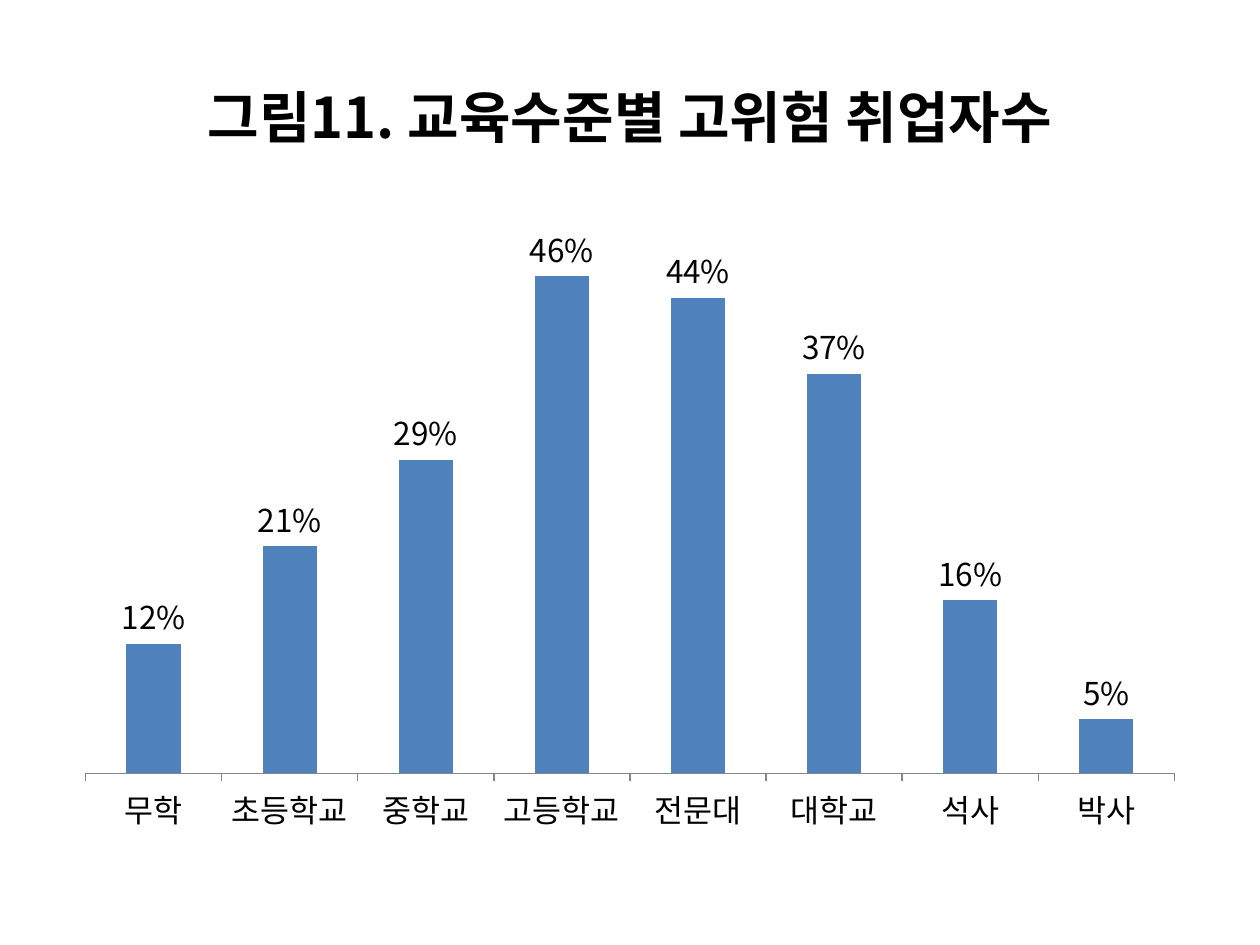
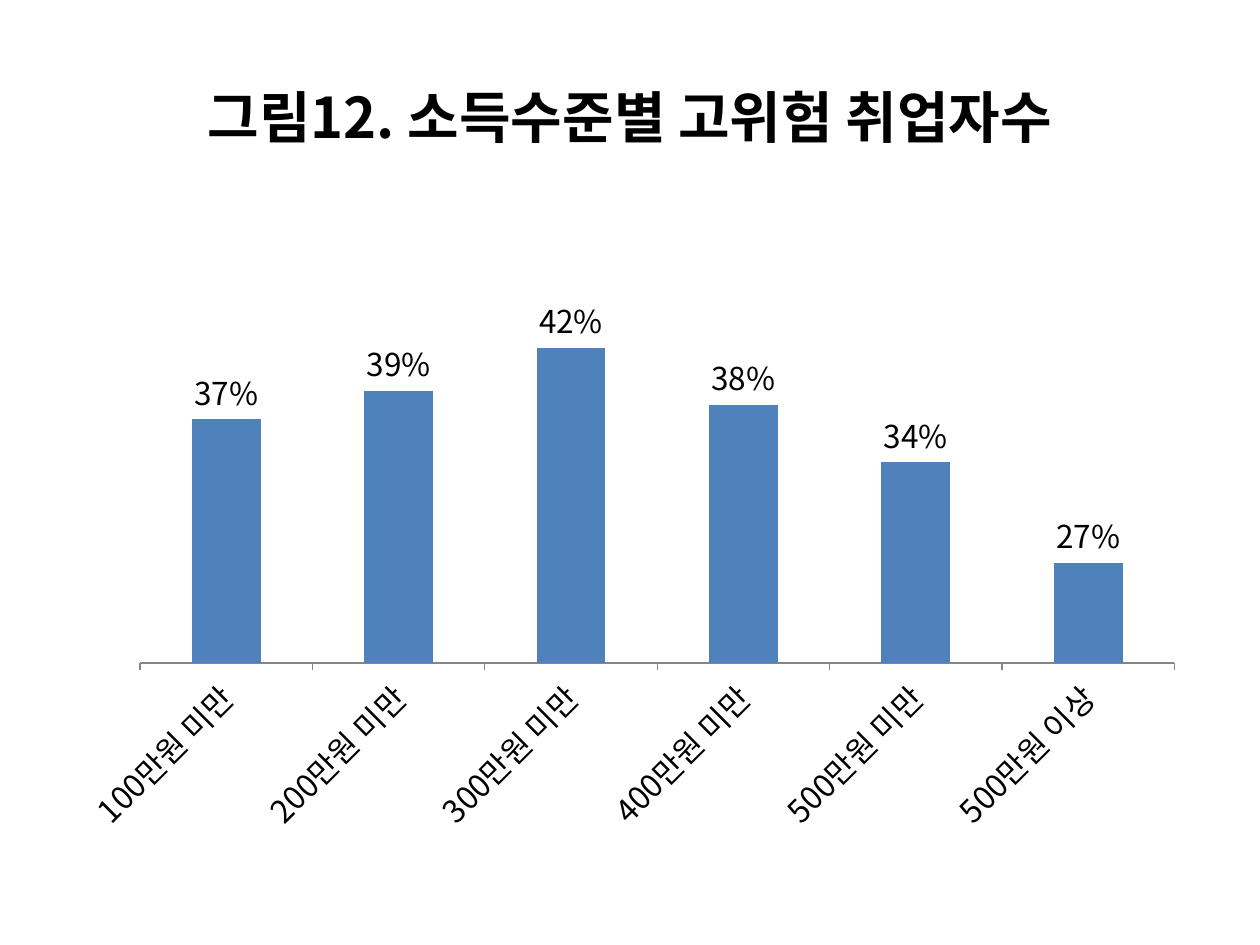
from dataclasses import dataclass

import lxml.etree
import pptx
import pptx.chart.data
import pptx.dml.color
import pptx.enum.chart
import pptx.enum.text
import pptx.oxml.ns
import pptx.util
from pptx.util import Cm


@dataclass(frozen=True)
class Theme:
    typeface: str = "Noto Sans CJK KR"
    text: str = "000000"
    bar: str = "4F81BD"
    axis: str = "868686"
    title_size: int = 32
    chart_size: int = 18
    gap_width: int = 150
    percent: str = "0%"


@dataclass(frozen=True)
class Box:
    left: float
    top: float
    width: float
    height: float

    def place(self):
        return [Cm(value) for value in (self.left, self.top, self.width, self.height)]


THEME = Theme()
SLIDE_WIDTH, SLIDE_HEIGHT, MARGIN = 25.4, 19.05, 1.27
CONTENT_WIDTH = SLIDE_WIDTH - 2 * MARGIN
TITLE_BOX = Box(MARGIN, 0.76, CONTENT_WIDTH, 3.18)
CHART_BOX = Box(MARGIN, 4.45, CONTENT_WIDTH, 12.57)
SLANT = -45

FIGURES = [
    {
        "title": "그림11. 교육수준별 고위험 취업자수",
        "rates": {
            "무학": 0.12, "초등학교": 0.21, "중학교": 0.29, "고등학교": 0.46,
            "전문대": 0.44, "대학교": 0.37, "석사": 0.16, "박사": 0.05,
        },
        "scale": (0, 0.5),
        "label_angle": 0,
    },
    {
        "title": "그림12. 소득수준별 고위험 취업자수",
        "rates": {
            "100만원 미만": 0.37, "200만원 미만": 0.39, "300만원 미만": 0.42,
            "400만원 미만": 0.38, "500만원 미만": 0.34, "500만원 이상": 0.27,
        },
        "scale": (0.2, 0.5),
        "label_angle": SLANT,
    },
]


def set_format(target, values):
    for name, value in values.items():
        setattr(target, name, value)


def color(value):
    return pptx.dml.color.RGBColor.from_string(value)


def set_font(font, size, bold=False):
    """Apply the typeface to both Latin and Korean text."""
    set_format(font, {"name": THEME.typeface, "size": pptx.util.Pt(size), "bold": bold})
    font.color.rgb = color(THEME.text)
    east_asian = lxml.etree.Element(pptx.oxml.ns.qn("a:ea"), typeface=THEME.typeface)
    font._element.find(pptx.oxml.ns.qn("a:latin")).addnext(east_asian)


def write_title(slide, text, box):
    title = slide.shapes.title
    set_format(title, dict(zip(("left", "top", "width", "height"), box.place())))
    frame = title.text_frame
    set_format(frame, {
        "word_wrap": True,
        "vertical_anchor": pptx.enum.text.MSO_ANCHOR.MIDDLE,
    })
    paragraph = frame.paragraphs[0]
    paragraph.alignment = pptx.enum.text.PP_ALIGN.CENTER
    run = paragraph.add_run()
    run.text = text
    set_font(run.font, THEME.title_size, bold=True)


def format_axes(chart, scale, label_angle):
    minimum, maximum = scale
    set_format(chart.value_axis, {
        "minimum_scale": minimum,
        "maximum_scale": maximum,
        "has_major_gridlines": False,
        "visible": False,
    })
    set_format(chart.value_axis.tick_labels, {
        "number_format": THEME.percent,
        "number_format_is_linked": False,
    })
    category_axis = chart.category_axis
    set_format(category_axis, {
        "has_major_gridlines": False,
        "major_tick_mark": pptx.enum.chart.XL_TICK_MARK.OUTSIDE,
    })
    category_axis.format.line.color.rgb = color(THEME.axis)
    category_axis.format.line.width = pptx.util.Pt(0.75)
    set_font(category_axis.tick_labels.font, THEME.chart_size)
    if label_angle:
        body = category_axis._element.find(".//" + pptx.oxml.ns.qn("a:bodyPr"))
        body.set("rot", str(label_angle * 60000))
        body.set("vert", "horz")


def format_bars(plot):
    set_format(plot, {
        "gap_width": THEME.gap_width,
        "vary_by_categories": False,
        "has_data_labels": True,
    })
    set_format(plot.data_labels, {
        "show_value": True,
        "number_format": THEME.percent,
        "number_format_is_linked": False,
        "position": pptx.enum.chart.XL_LABEL_POSITION.OUTSIDE_END,
    })
    set_font(plot.data_labels.font, THEME.chart_size)
    fill = plot.series[0].format.fill
    fill.solid()
    fill.fore_color.rgb = color(THEME.bar)


def add_rate_chart(slide, figure, box):
    data = pptx.chart.data.CategoryChartData(number_format=THEME.percent)
    data.categories = list(figure["rates"])
    data.add_series("Series 1", list(figure["rates"].values()))
    chart = slide.shapes.add_chart(
        pptx.enum.chart.XL_CHART_TYPE.COLUMN_CLUSTERED, *box.place(), data
    ).chart
    set_format(chart, {"has_legend": False, "has_title": False})
    set_font(chart.font, THEME.chart_size)
    format_axes(chart, figure["scale"], figure["label_angle"])
    format_bars(chart.plots[0])


def add_figure_slide(presentation, figure):
    title_only = presentation.slide_layouts.get_by_name("Title Only")
    slide = presentation.slides.add_slide(title_only)
    write_title(slide, figure["title"], TITLE_BOX)
    add_rate_chart(slide, figure, CHART_BOX)


def main():
    presentation = pptx.Presentation()
    set_format(presentation, {
        "slide_width": Cm(SLIDE_WIDTH),
        "slide_height": Cm(SLIDE_HEIGHT),
    })
    for figure in FIGURES:
        add_figure_slide(presentation, figure)
    presentation.save("out.pptx")


if __name__ == "__main__":
    main()
